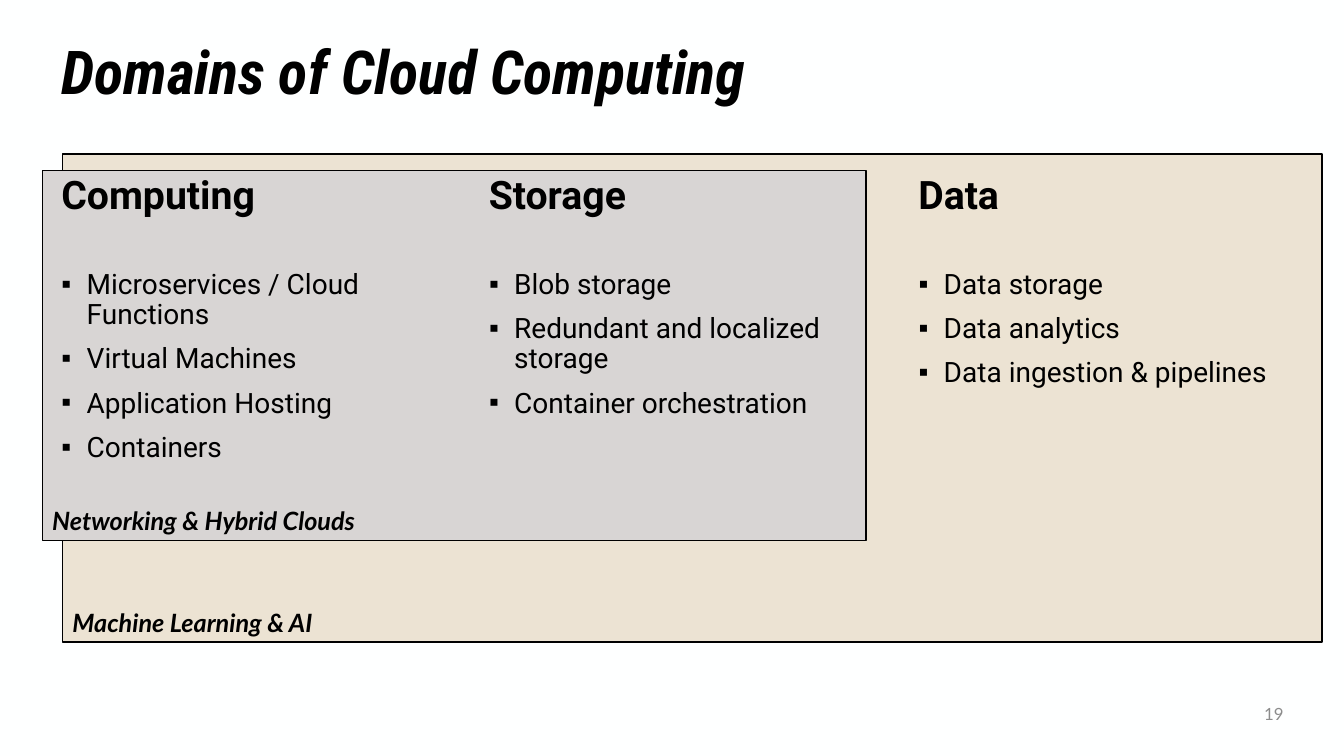
from dataclasses import dataclass

from lxml.etree import SubElement
from pptx import Presentation
from pptx.dml.color import RGBColor
from pptx.enum.shapes import MSO_SHAPE
from pptx.enum.text import MSO_ANCHOR as ANCHOR, MSO_AUTO_SIZE as AUTO, PP_ALIGN as ALIGN
from pptx.oxml.ns import qn
from pptx.util import Inches, Pt


@dataclass(frozen=True)
class Theme:
    background: str = "FEFFFF"
    ink: str = "000000"
    muted: str = "8C8C8C"
    sand: str = "ECE3D3"
    grey: str = "D8D5D4"
    title: tuple = ("Roboto Condensed", 43.2, True, True)
    heading: tuple = ("Roboto", 28, True, False)
    bullet: tuple = ("Roboto", 20, False, False)
    label: tuple = ("Lato", 18, True, True)
    number: tuple = ("Lato", 12, False, False)


THEME = Theme()
COLUMN_WIDTH = 3.84
HEADING_HEIGHT = 0.94
LIST_HEIGHT = 2.16
COLUMNS = [
    (0.51, "Computing", ["Microservices / Cloud Functions", "Virtual Machines",
                         "Application Hosting", "Containers"]),
    (4.75, "Storage", ["Blob storage", "Redundant and localized storage",
                       "Container orchestration"]),
    (9.01, "Data", ["Data storage", "Data analytics", "Data ingestion & pipelines"]),
]


def place(sp, box):
    """Set the box of a shape and bring it to the front."""
    for name, value in zip(("left", "top", "width", "height"), box):
        setattr(sp, name, Inches(value))
    sp.element.getparent().append(sp.element)


def add_bullet(p):
    pPr = p._p.get_or_add_pPr()
    pPr.set("marL", str(Inches(0.25)))
    pPr.set("indent", str(-Inches(0.25)))
    SubElement(pPr, qn("a:buFont"), typeface="Arial")
    SubElement(pPr, qn("a:buChar"), char="▪")


def write(sp, lines, style, color=THEME.ink, anchor=ANCHOR.TOP, align=ALIGN.LEFT,
          spacing=0.9, bulleted=False):
    tf = sp.text_frame
    tf.word_wrap = True
    tf.auto_size = AUTO.NONE
    tf.vertical_anchor = anchor
    for i, line in enumerate(lines):
        p = tf.add_paragraph() if i else tf.paragraphs[0]
        if bulleted:
            add_bullet(p)
        formats = {"alignment": align, "line_spacing": spacing,
                   "space_before": Pt(10 if i else 0)}
        for name, value in formats.items():
            setattr(p, name, value)
        r = p.add_run()
        r.text = line
        for name, value in zip(("name", "size", "bold", "italic"), style):
            setattr(r.font, name, Pt(value) if name == "size" else value)
        r.font.color.rgb = RGBColor.from_string(color)


def add_panel(s, box, fill, label):
    sp = s.shapes.add_shape(MSO_SHAPE.RECTANGLE, *map(Inches, box))
    sp.shadow.inherit = False
    sp.fill.solid()
    sp.fill.fore_color.rgb = RGBColor.from_string(fill)
    sp.line.color.rgb = RGBColor.from_string(THEME.ink)
    sp.line.width = Pt(1)
    write(sp, [label], THEME.label, anchor=ANCHOR.BOTTOM, spacing=1.0)


def add_text(s, box, text, style, **formats):
    sp = s.shapes.add_textbox(*map(Inches, box))
    write(sp, [text], style, **formats)


def add_title(s, box, text):
    place(s.shapes.title, box)
    write(s.shapes.title, [text], THEME.title, anchor=ANCHOR.MIDDLE)


def add_column(s, body, left, top, heading, items):
    add_text(s, (left, top, COLUMN_WIDTH, HEADING_HEIGHT), heading, THEME.heading)
    place(body, (left, top + HEADING_HEIGHT, COLUMN_WIDTH, LIST_HEIGHT))
    write(body, items, THEME.bullet, bulleted=True)


def build_domains_slide(prs):
    s = prs.slides.add_slide(prs.slide_layouts.get_by_name("Comparison"))
    s.background.fill.solid()
    s.background.fill.fore_color.rgb = RGBColor.from_string(THEME.background)
    _, *bodies, spare = s.placeholders
    spare.element.getparent().remove(spare.element)

    add_panel(s, (0.62, 1.53, 12.49, 4.84), THEME.sand, "Machine Learning & AI")
    add_panel(s, (0.42, 1.69, 8.17, 3.67), THEME.grey, "Networking & Hybrid Clouds")
    add_title(s, (0.51, 0.42, 12.32, 0.64), "Domains of Cloud Computing")
    for body, (left, heading, items) in zip(bodies, COLUMNS):
        add_column(s, body, left, 1.69, heading, items)
    add_text(s, (11.63, 6.88, 1.2, 0.4), "19", THEME.number, color=THEME.muted,
             anchor=ANCHOR.MIDDLE, align=ALIGN.RIGHT, spacing=1.0)


def main():
    prs = Presentation()
    prs.slide_width, prs.slide_height = Inches(13.33), Inches(7.5)
    build_domains_slide(prs)
    prs.save("out.pptx")


if __name__ == "__main__":
    main()
